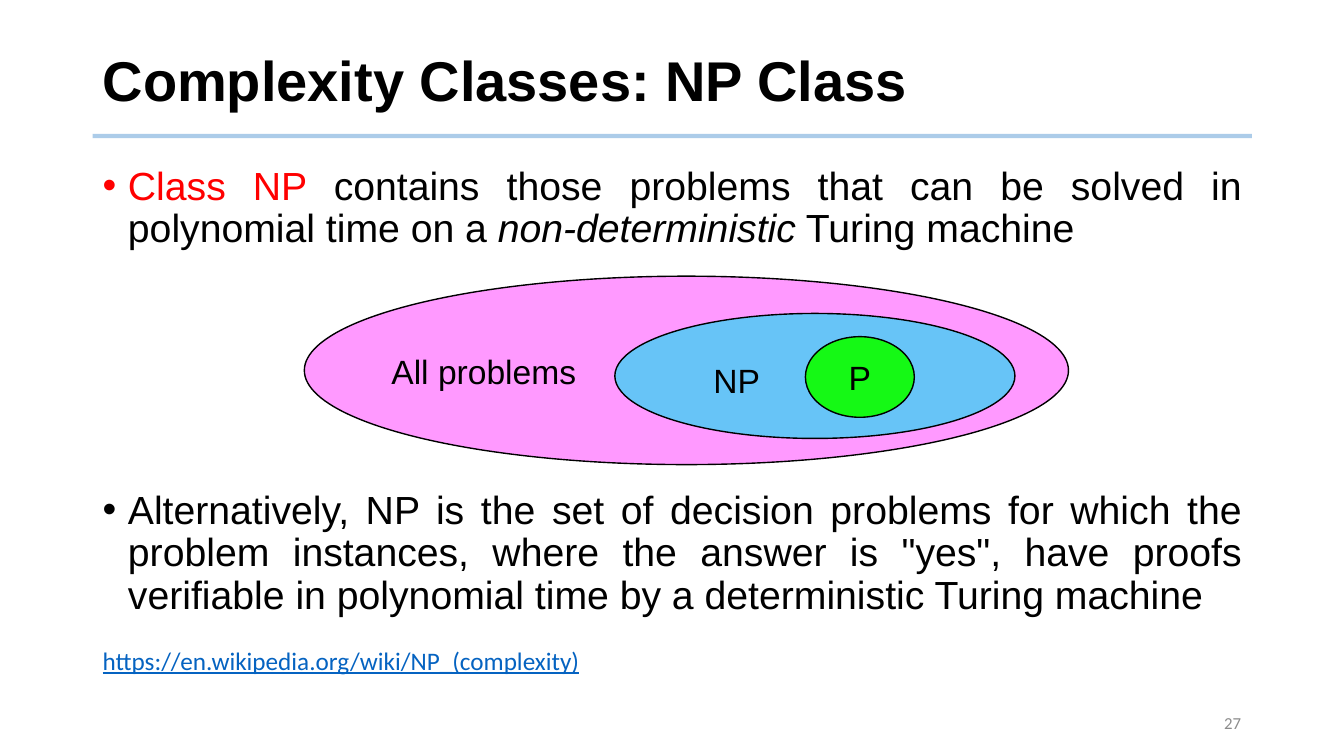
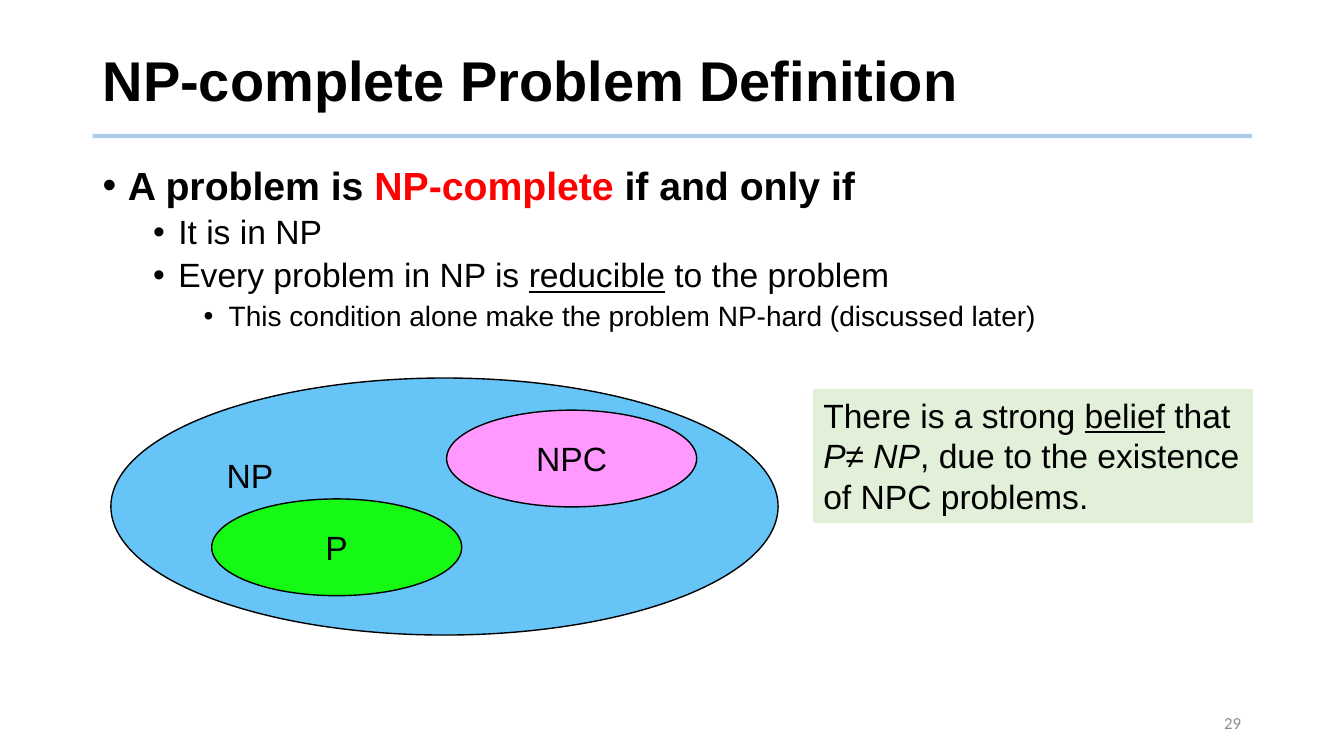
import lxml.etree
import pptx
import pptx.dml.color
import pptx.enum.shapes
import pptx.enum.text
import pptx.oxml.ns
import pptx.util

Pt = pptx.util.Pt
RGBColor = pptx.dml.color.RGBColor
SHAPE = pptx.enum.shapes.MSO_SHAPE
ALIGN = pptx.enum.text.PP_ALIGN
ANCHOR = pptx.enum.text.MSO_ANCHOR
AUTO_SIZE = pptx.enum.text.MSO_AUTO_SIZE
qn = pptx.oxml.ns.qn

BLACK = RGBColor(0x00, 0x00, 0x00)
RED = RGBColor(0xFF, 0x00, 0x00)
PINK = RGBColor(0xFF, 0x99, 0xFF)
SKY = RGBColor(0x67, 0xC4, 0xF7)
GREEN = RGBColor(0x15, 0xF9, 0x15)
PALE_GREEN = RGBColor(0xE2, 0xF0, 0xD9)
RULE_BLUE = RGBColor(0x5B, 0x9B, 0xD5)
LINK_BLUE = RGBColor(0x05, 0x63, 0xC1)
GREY = RGBColor(0x8C, 0x8C, 0x8C)

# Boxes are left, top, width, height in points.
LEFT, WIDTH = 66.2, 828
TITLE_BOX = (LEFT, 20.2, WIDTH, 79.2)
BODY_BOX = (LEFT, 115.2, WIDTH, 370.8)
RULE_Y = 97.2
PAGE_NUMBER_BOX = (725.8, 501.8, 167.8, 28.8)
LEVEL_SIZES = (28, 24, 20)
LEVEL_SPACES = (10, 5, 5)
LABEL_WIDTH, LABEL_HEIGHT = 164, 36


def points(box):
    return [Pt(value) for value in box]


def write(paragraph, text, size=24, font="Arial", color=BLACK,
          bold=False, italic=False, underline=False):
    run = paragraph.add_run()
    run.text = text
    run.font.size = Pt(size)
    run.font.name = font
    run.font.color.rgb = color
    run.font.bold = bold
    run.font.italic = italic
    run.font.underline = underline


def add_label(slide, box, text, align=ALIGN.LEFT, anchor=ANCHOR.TOP, **style):
    frame = slide.shapes.add_textbox(*points(box)).text_frame
    frame.word_wrap = True
    frame.vertical_anchor = anchor
    frame.paragraphs[0].alignment = align
    write(frame.paragraphs[0], text, **style)


def add_filled(slide, kind, box, fill, outline):
    shape = slide.shapes.add_shape(kind, *points(box))
    shape.shadow.inherit = False
    shape.fill.solid()
    shape.fill.fore_color.rgb = fill
    shape.line.color.rgb = outline
    shape.line.width = Pt(1)
    return shape


def set_bullet(paragraph, level):
    paragraph.level = level
    properties = paragraph._p.get_or_add_pPr()
    properties.set("marL", str(Pt(18 + 36 * level)))
    properties.set("indent", str(Pt(-18)))
    lxml.etree.SubElement(properties, qn("a:buFont"), typeface="Arial")
    lxml.etree.SubElement(properties, qn("a:buChar"), char="•")


def fill_body(body, items, align=ALIGN.LEFT):
    """Each item is a level, its runs and the space before it (None: by level)."""
    frame = body.text_frame
    frame.auto_size = AUTO_SIZE.NONE
    for index, (level, runs, space) in enumerate(items):
        paragraph = frame.add_paragraph() if index else frame.paragraphs[0]
        set_bullet(paragraph, level)
        paragraph.alignment = align
        paragraph.line_spacing = 0.9
        before = LEVEL_SPACES[level] if space is None else space
        paragraph.space_before = Pt(before if index else 0)
        for text, style in runs:
            write(paragraph, text, size=LEVEL_SIZES[level], **style)


def add_sets(slide, box, sets):
    """Nested ellipses; a set is fill, label, ellipse and label spot (None: centred).

    The ellipse (None: the whole box) and the spot (centre x, top) are relative to the box.
    """
    left, top, width, height = box
    for fill, label, inner, spot in sets:
        x, y, w, h = inner or (0, 0, width, height)
        ellipse = add_filled(slide, SHAPE.OVAL, (left + x, top + y, w, h), fill, BLACK)
        if spot:
            label_box = (left + spot[0] - LABEL_WIDTH / 2, top + spot[1],
                         LABEL_WIDTH, LABEL_HEIGHT)
            add_label(slide, label_box, label, align=ALIGN.CENTER)
        else:
            frame = ellipse.text_frame
            frame.word_wrap = False
            frame.vertical_anchor = ANCHOR.MIDDLE
            frame.paragraphs[0].alignment = ALIGN.CENTER
            write(frame.paragraphs[0], label)


def add_note(slide, box, runs):
    note = add_filled(slide, SHAPE.RECTANGLE, box, PALE_GREEN, PALE_GREEN)
    note.text_frame.word_wrap = True
    note.text_frame.vertical_anchor = ANCHOR.TOP
    paragraph = note.text_frame.paragraphs[0]
    paragraph.alignment = ALIGN.LEFT
    for text, style in runs:
        write(paragraph, text, **style)


def place_layout(layout):
    for holder, box in zip(layout.placeholders, (TITLE_BOX, BODY_BOX)):
        holder.left, holder.top, holder.width, holder.height = points(box)


def add_title_rule(slide):
    """Draw the line under the title and hand it to the layout all slides share."""
    rule = slide.shapes.add_connector(
        pptx.enum.shapes.MSO_CONNECTOR.STRAIGHT,
        *points((LEFT, RULE_Y, LEFT + WIDTH, RULE_Y)))
    rule.line.color.rgb = RULE_BLUE
    rule.line.width = Pt(3)
    color = rule.element.find(".//" + qn("a:srgbClr"))
    lxml.etree.SubElement(color, qn("a:alpha"), val="50000")
    lxml.etree.SubElement(rule.element.spPr, qn("a:effectLst"))
    rule.element.find(".//" + qn("p:cNvPr")).set("id", "100")
    slide.slide_layout.shapes.element.append(rule.element)


def add_slide(deck, title, number):
    slide = deck.slides.add_slide(deck.slide_layouts[1])
    frame = slide.shapes.title.text_frame
    frame.auto_size = AUTO_SIZE.NONE
    frame.vertical_anchor = ANCHOR.MIDDLE
    frame.paragraphs[0].alignment = ALIGN.LEFT
    frame.paragraphs[0].line_spacing = 0.9
    write(frame.paragraphs[0], title, size=40, bold=True)
    add_label(slide, PAGE_NUMBER_BOX, number, align=ALIGN.RIGHT,
              anchor=ANCHOR.MIDDLE, size=12, font="Calibri", color=GREY)
    return slide


def build_np_class(deck):
    slide = add_slide(deck, "Complexity Classes: NP Class", "27")
    fill_body(slide.placeholders[1], [
        (0, [("Class NP ", {"color": RED}),
             ("contains those problems that can be solved in polynomial time on a ", {}),
             ("non-deterministic", {"italic": True}),
             (" Turing machine", {})], None),
        (0, [("Alternatively, NP is the set of decision problems for which the problem "
              "instances, where the answer is \"yes\", have proofs verifiable in "
              "polynomial time by a deterministic Turing machine", {})], 171),
    ], align=ALIGN.JUSTIFY)
    add_sets(slide, (217.4, 197.3, 545.8, 134.6), [
        (PINK, "All problems", None, (128.2, 49.7)),
        (SKY, "NP", (221.8, 26.6, 285.8, 89.3), (308.9, 56.1)),
        (GREEN, "P", (357.9, 43.2, 77.8, 57.6), None),
    ])
    add_label(slide, (LEFT, 457.2, 363.6, 28.8),
              "https://en.wikipedia.org/wiki/NP_(complexity)",
              size=18, font="Calibri", color=LINK_BLUE, underline=True)
    return slide


def build_np_complete(deck):
    slide = add_slide(deck, "NP-complete Problem Definition", "29")
    fill_body(slide.placeholders[1], [
        (0, [("A problem is ", {"bold": True}),
             ("NP-complete", {"bold": True, "color": RED}),
             (" if and only if", {"bold": True})], None),
        (1, [("It is in NP", {})], None),
        (1, [("Every problem in NP is ", {}),
             ("reducible", {"underline": True}),
             (" to the problem", {})], None),
        (2, [("This condition alone make the problem NP-hard (discussed later)", {})], None),
    ])
    add_sets(slide, (79.2, 270, 476.6, 183.6), [
        (SKY, "NP", None, (99.4, 51.1)),
        (GREEN, "P", (72, 86.4, 178.6, 69.1), None),
        (PINK, "NPC", (239.8, 23, 178.6, 69.1), None),
    ])
    add_note(slide, (581, 278.6, 313.2, 94.3), [
        ("There is a strong ", {}),
        ("belief", {"underline": True}),
        (" that ", {}),
        ("P≠ NP", {"italic": True}),
        (", due to the existence of NPC problems.", {}),
    ])


def main():
    deck = pptx.Presentation()
    deck.slide_width, deck.slide_height = Pt(960), Pt(540)
    place_layout(deck.slide_layouts[1])
    add_title_rule(build_np_class(deck))
    build_np_complete(deck)
    deck.save("out.pptx")


if __name__ == "__main__":
    main()
